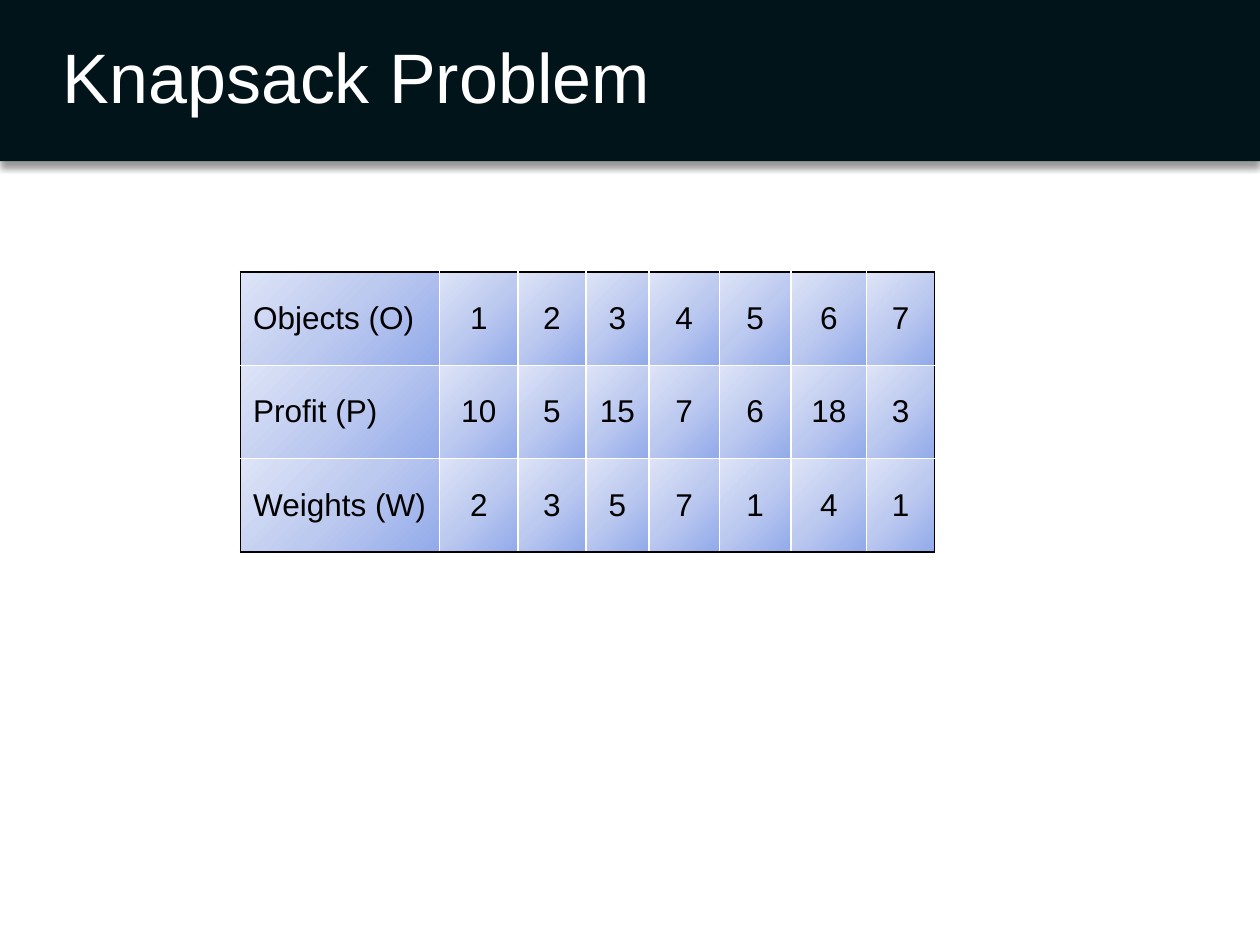
from pptx import Presentation
from pptx.dml.color import RGBColor
from pptx.enum.shapes import MSO_SHAPE
from pptx.enum.text import MSO_ANCHOR, PP_ALIGN
from pptx.oxml import parse_xml
from pptx.oxml.ns import nsdecls
from pptx.util import Inches, Pt

RECT = MSO_SHAPE.RECTANGLE
MIDDLE = MSO_ANCHOR.MIDDLE
LEFT, CENTER = PP_ALIGN.LEFT, PP_ALIGN.CENTER

INK = RGBColor(0x01, 0x14, 0x1A)
WHITE = RGBColor(0xFF, 0xFF, 0xFF)
BLACK = RGBColor(0x00, 0x00, 0x00)
CELL_GRADIENT = (
    (0, RGBColor(0x92, 0xAA, 0xEA)),
    (50, RGBColor(0xBD, 0xCA, 0xF0)),
    (100, RGBColor(0xDE, 0xE4, 0xF7)),
)

TITLE_FONT = {"name": "Arial", "size": Pt(40), "bold": False}
CELL_FONT = {"name": "Arial", "size": Pt(18), "bold": False}

BAND_HEIGHT = 1.28
COLUMN_WIDTHS = (1.58, 0.62, 0.54, 0.5, 0.56, 0.57, 0.6, 0.54)
ROW_HEIGHT = 0.74
KNAPSACK = (
    ("Objects (O)", 1, 2, 3, 4, 5, 6, 7),
    ("Profit (P)", 10, 5, 15, 7, 6, 18, 3),
    ("Weights (W)", 2, 3, 5, 7, 1, 4, 1),
)


class SlideBuilder:
    """Holds the current slide and draws its elements in one style."""

    def __init__(self, slide):
        self.slide = slide

    def add_text(self, p, text, font, color, align=LEFT):
        p.alignment = align
        r = p.add_run()
        r.text = text
        for name, value in font.items():
            setattr(r.font, name, value)
        r.font.color.rgb = color

    def band(self, x, y, w, h):
        """Draw a dark rectangle with a soft shadow below it."""
        sp = self.slide.shapes.add_shape(RECT, Inches(x), Inches(y), Inches(w), Inches(h))
        sp.fill.solid()
        sp.fill.fore_color.rgb = INK
        sp.line.fill.background()
        sp.shadow.inherit = False
        effects = sp.element.spPr.find("{*}effectLst")
        effects.append(parse_xml(
            f'<a:outerShdw {nsdecls("a")} blurRad="{Pt(4)}" dist="{Pt(3)}" dir="5400000"'
            ' algn="t" rotWithShape="0"><a:srgbClr val="000000"><a:alpha val="40000"/>'
            '</a:srgbClr></a:outerShdw>'))

    def title(self, text, x, y, w, h):
        tf = self.slide.shapes.add_textbox(Inches(x), Inches(y), Inches(w), Inches(h)).text_frame
        tf.word_wrap = True
        tf.vertical_anchor = MIDDLE
        p = tf.paragraphs[0]
        p.line_spacing = 0.9
        self.add_text(p, text, TITLE_FONT, WHITE)

    def paint_cell(self, cell, borders):
        """Add the border lines, then the gradient that grows from the lower right corner."""
        tc_pr = cell._tc.get_or_add_tcPr()
        for side, color in borders.items():
            tc_pr.append(parse_xml(
                f'<a:ln{side} {nsdecls("a")} w="{Pt(1)}"><a:solidFill>'
                f'<a:srgbClr val="{color}"/></a:solidFill></a:ln{side}>'))
        stops = "".join(
            f'<a:gs pos="{pos * 1000}"><a:srgbClr val="{color}"/></a:gs>'
            for pos, color in CELL_GRADIENT)
        tc_pr.append(parse_xml(
            f'<a:gradFill {nsdecls("a")} rotWithShape="1"><a:gsLst>{stops}</a:gsLst>'
            '<a:path path="circle"><a:fillToRect l="100000" t="100000"/></a:path>'
            '</a:gradFill>'))

    def table(self, rows, x, y, widths, row_height):
        """Draw a table with a black frame and white inner lines."""
        last_row, last_col = len(rows) - 1, len(widths) - 1
        table = self.slide.shapes.add_table(
            len(rows), len(widths), Inches(x), Inches(y),
            Inches(sum(widths)), Inches(row_height * len(rows))).table
        table.first_row = table.horz_banding = False
        for column, width in zip(table.columns, widths):
            column.width = Inches(width)
        for i, values in enumerate(rows):
            table.rows[i].height = Inches(row_height)
            for j, value in enumerate(values):
                cell = table.cell(i, j)
                cell.vertical_anchor = MIDDLE
                self.add_text(cell.text_frame.paragraphs[0], str(value), CELL_FONT, BLACK,
                              CENTER if j else LEFT)
                on_frame = {"L": j == 0, "R": j == last_col, "T": i == 0, "B": i == last_row}
                self.paint_cell(cell, {side: BLACK if outer else WHITE
                                       for side, outer in on_frame.items()})


def main():
    prs = Presentation()
    prs.slide_width, prs.slide_height = Inches(10), Inches(7.5)
    s = SlideBuilder(prs.slides.add_slide(prs.slide_layouts[6]))
    s.band(0, 0, 10, BAND_HEIGHT)
    s.title("Knapsack Problem", 0.4, 0, 9.6, BAND_HEIGHT)
    s.table(KNAPSACK, 1.91, 2.16, COLUMN_WIDTHS, ROW_HEIGHT)
    prs.save("out.pptx")


if __name__ == "__main__":
    main()
